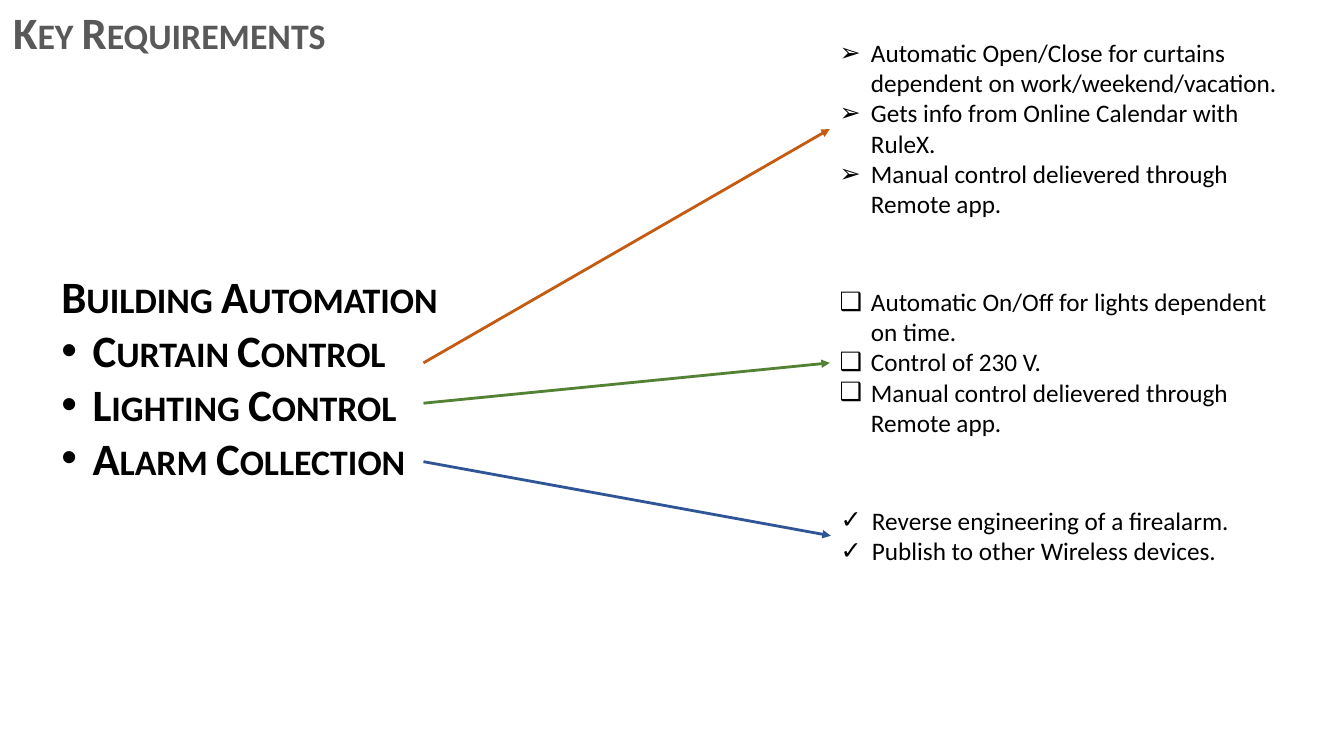
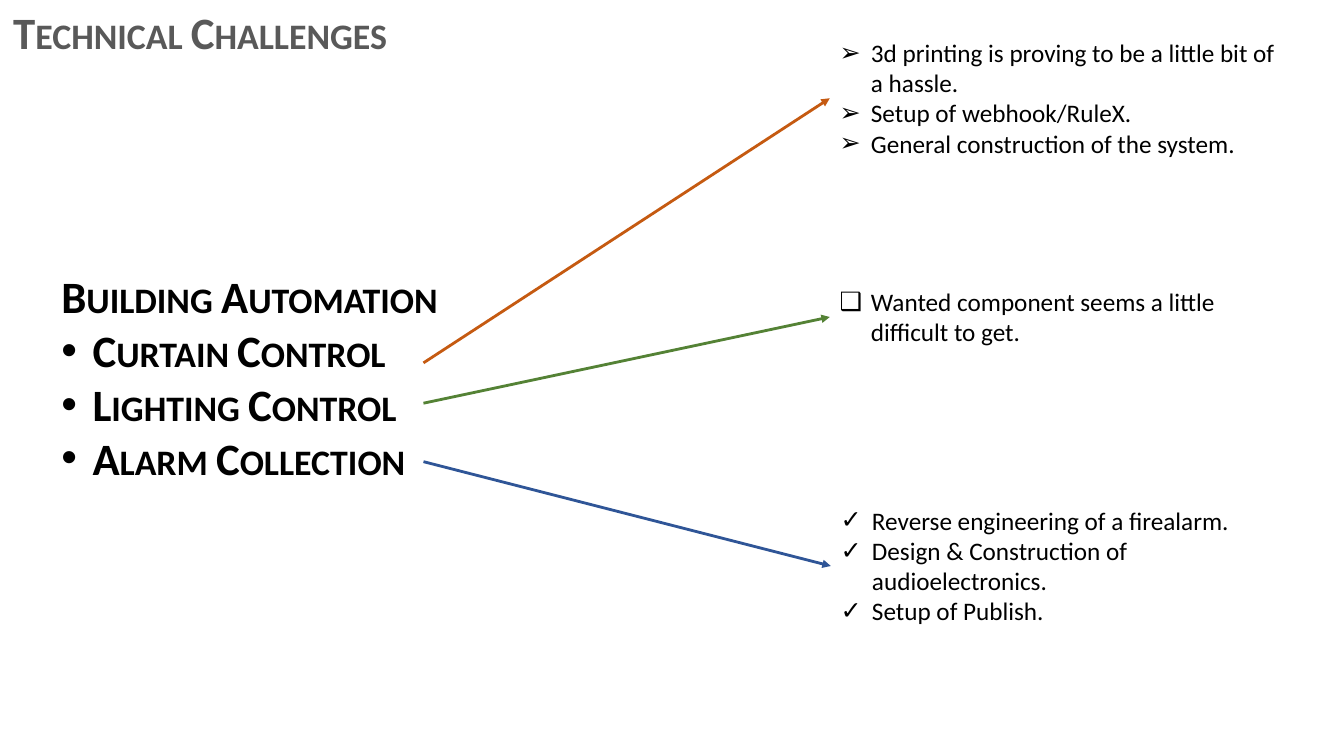
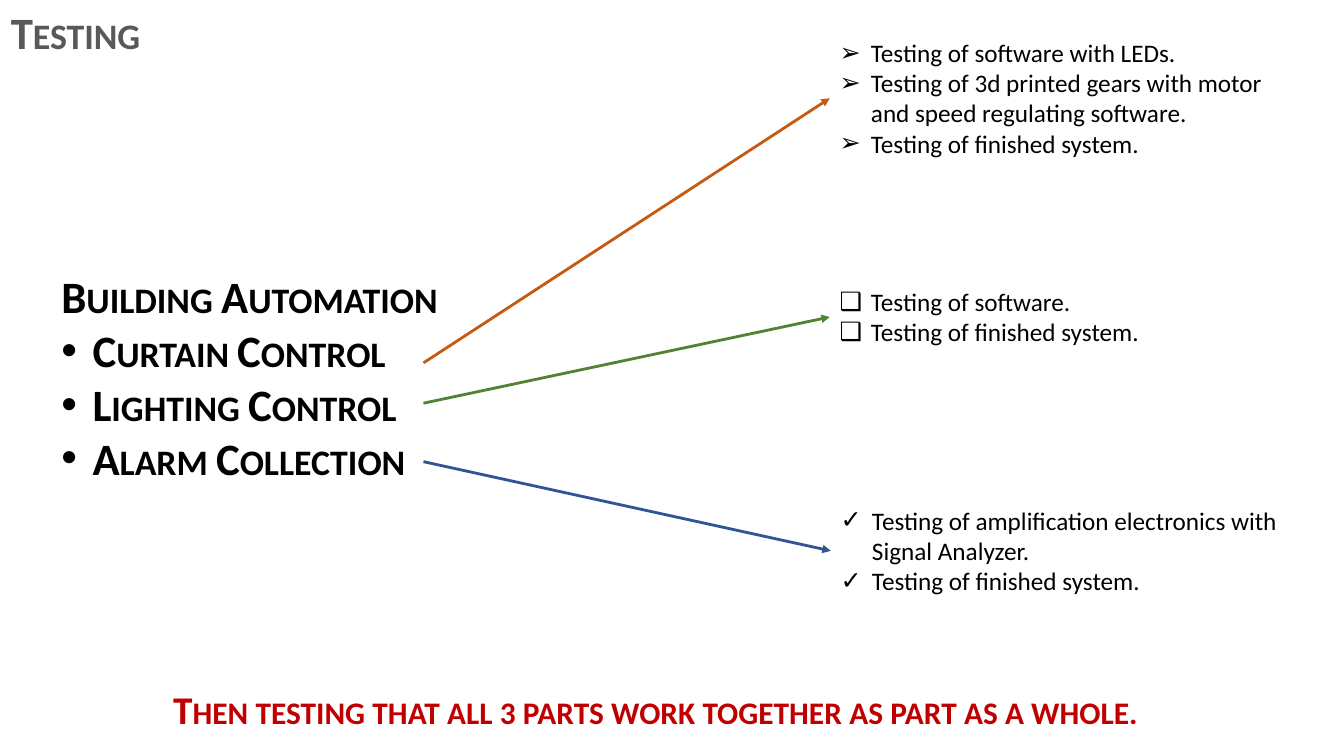
from dataclasses import dataclass

from lxml.etree import SubElement
from pptx import Presentation
from pptx.dml.color import RGBColor
from pptx.enum.shapes import MSO_CONNECTOR
from pptx.enum.text import MSO_AUTO_SIZE, PP_ALIGN
from pptx.oxml import parse_xml
from pptx.oxml.ns import nsdecls, qn
from pptx.util import Pt

PX = 9144
FONT = "Calibri"
BLACK, GREY, RED, ORANGE = "000000", "595959", "C00000", "ED7D31"
INDENT = 31
ARROW_LEFT = 420
DETAIL_WIDTH = 458


@dataclass
class Topic:
    name: str
    bullet: str
    color: str
    left: int
    top: int
    arrow_top: int


TOPICS = [
    Topic("Curtain Control", "➢", "C55A11", 823, 32, 360),
    Topic("Lighting Control", "❑", "548235", 823, 279, 400),
    Topic("Alarm Collection", "✓", "2F5597", 824, 496, 458),
]

SLIDES = [
    {
        "title": "Key Requirements",
        "title_width": 336,
        "details": [
            (192, ["Automatic Open/Close for curtains dependent on work/weekend/vacation.",
                   "Gets info from Online Calendar with RuleX.",
                   "Manual control delievered through Remote app."]),
            (162, ["Automatic On/Off for lights dependent on time.",
                   "Control of 230 V.",
                   "Manual control delievered through Remote app."]),
            (71, ["Reverse engineering of a firealarm.",
                  "Publish to other Wireless devices."]),
        ],
    },
    {
        "title": "Technical Challenges",
        "title_width": 397,
        "details": [
            (131, ["3d printing is proving to be a little bit of a hassle.",
                   "Setup of webhook/RuleX.",
                   "General construction of the system."]),
            (71, ["Wanted component seems a little difficult to get."]),
            (131, ["Reverse engineering of a firealarm.",
                   "Design & Construction of audioelectronics.",
                   "Setup of Publish."]),
        ],
    },
    {
        "title": "Testing",
        "title_width": 150,
        "details": [
            (131, ["Testing of software with LEDs.",
                   "Testing of 3d printed gears with motor and speed regulating software.",
                   "Testing of finished system."]),
            (71, ["Testing of software.", "Testing of finished system."]),
            (101, ["Testing of amplification electronics with Signal Analyzer.",
                   "Testing of finished system."]),
        ],
        "conclusion": "Then testing that all 3 parts work together as part as a whole.",
    },
]


def px(length):
    return round(length * PX)


def rgb(color):
    return RGBColor.from_string(color)


def add_text(slide, box, lines, size, color=BLACK, heading=False, wrap=True):
    shape = slide.shapes.add_textbox(*map(px, box))
    text_frame = shape.text_frame
    text_frame.text = "\n".join(lines)
    text_frame.word_wrap = wrap
    text_frame.auto_size = MSO_AUTO_SIZE.SHAPE_TO_FIT_TEXT
    for paragraph in text_frame.paragraphs:
        for run in paragraph.runs:
            font = run.font
            font.name, font.size, font.bold = FONT, Pt(size), heading
            font.color.rgb = rgb(color)
            if heading:
                run._r.get_or_add_rPr().set("cap", "small")
    return shape


def set_bullet(paragraph, character):
    properties = paragraph._p.get_or_add_pPr()
    properties.set("marL", str(px(INDENT)))
    properties.set("indent", str(px(-INDENT)))
    SubElement(properties, qn("a:buFont")).set("typeface", "Arial")
    SubElement(properties, qn("a:buChar")).set("char", character)


def add_title(slide, box, title):
    shape = add_text(slide, box, [title], 32, GREY, heading=True, wrap=False)
    paragraph = shape.text_frame.paragraphs[0]
    paragraph.alignment = PP_ALIGN.CENTER
    outline = parse_xml(
        f'<a:ln {nsdecls("a")} w="{Pt(0.52)}"><a:solidFill>'
        f'<a:srgbClr val="{ORANGE}"/></a:solidFill></a:ln>'
    )
    paragraph.runs[0]._r.get_or_add_rPr().insert(0, outline)


def add_overview(slide, box):
    lines = ["Building Automation"] + [topic.name for topic in TOPICS]
    shape = add_text(slide, box, lines, 32, heading=True, wrap=False)
    for paragraph in shape.text_frame.paragraphs[1:]:
        set_bullet(paragraph, "•")


def add_details(slide, box, lines, bullet):
    shape = add_text(slide, box, lines, 18)
    for paragraph in shape.text_frame.paragraphs:
        set_bullet(paragraph, bullet)
    return shape


def add_arrow(slide, left, top, target, color):
    arrow = slide.shapes.add_connector(
        MSO_CONNECTOR.STRAIGHT, px(left), px(top), target.left, target.top
    )
    arrow.end_connect(target, 1)
    arrow.line.color.rgb = rgb(color)
    arrow.line.width = Pt(2)
    SubElement(arrow.line._get_or_add_ln(), qn("a:tailEnd")).set("type", "triangle")
    SubElement(arrow._element.spPr, qn("a:effectLst"))


def add_topic_slide(presentation, title, title_width, details, conclusion=None):
    slide = presentation.slides.add_slide(presentation.slide_layouts[6])
    add_title(slide, (0, 0, title_width, 64), title)
    targets = [
        add_details(slide, (topic.left, topic.top, DETAIL_WIDTH, height), lines, topic.bullet)
        for topic, (height, lines) in zip(TOPICS, details)
    ]
    add_overview(slide, (51, 262, 400, 226))
    for topic, target in zip(TOPICS, targets):
        add_arrow(slide, ARROW_LEFT, topic.arrow_top, target, topic.color)
    if conclusion:
        add_text(slide, (162, 675, 1010, 57), [conclusion], 28, RED, heading=True)


def main():
    presentation = Presentation()
    presentation.slide_width = px(1333)
    presentation.slide_height = px(750)
    for content in SLIDES:
        add_topic_slide(presentation, **content)
    presentation.save("out.pptx")


if __name__ == "__main__":
    main()
